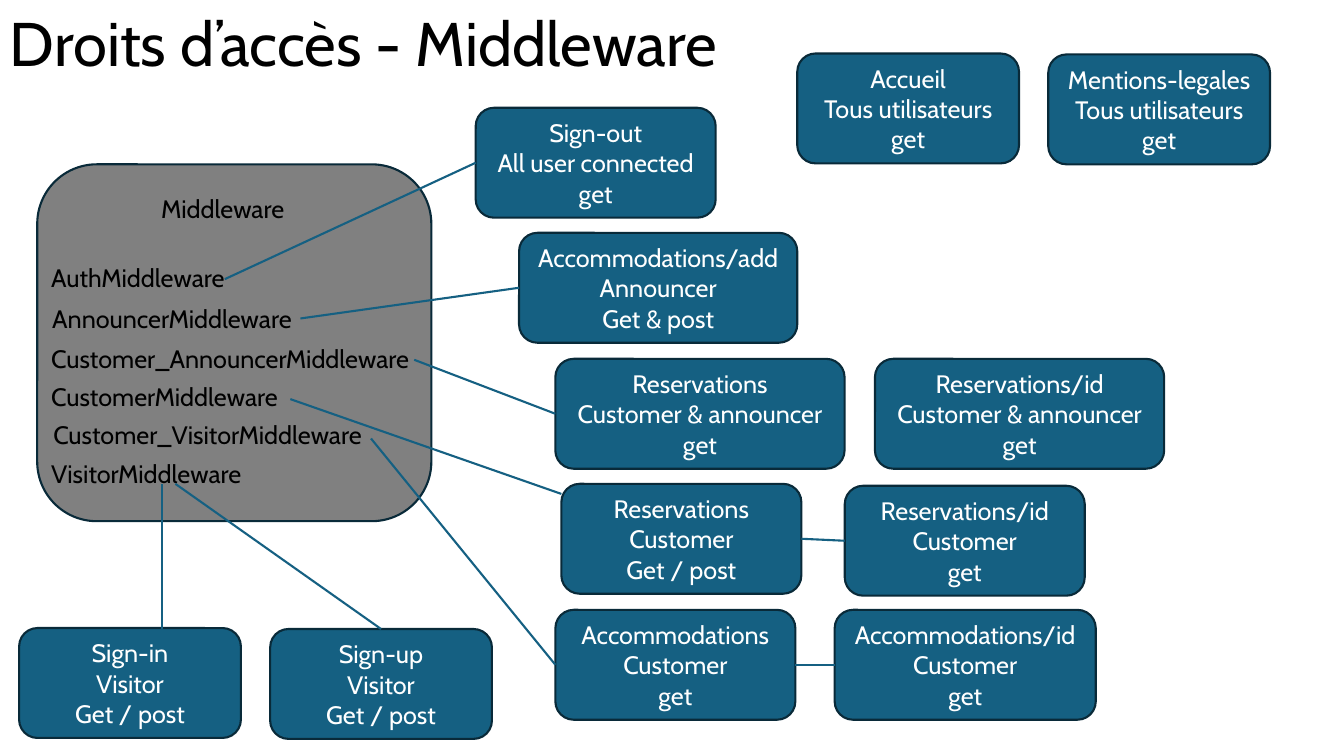
from lxml.etree import SubElement
from pptx import Presentation
from pptx.dml.color import RGBColor
from pptx.enum.shapes import MSO_CONNECTOR, MSO_SHAPE
from pptx.enum.text import MSO_ANCHOR, MSO_AUTO_SIZE, PP_ALIGN
from pptx.oxml.ns import qn
from pptx.util import Pt

BLACK = RGBColor(0x00, 0x00, 0x00)
WHITE = RGBColor(0xFF, 0xFF, 0xFF)
GREY = RGBColor(0x80, 0x80, 0x80)
BLUE = RGBColor(0x15, 0x60, 0x82)
NAVY = RGBColor(0x09, 0x2A, 0x39)

FONT = "Cabin"
ROUTE_HEIGHT = 78.5
TOP, LEFT, RIGHT = 0, 1, 3

MIDDLEWARES = [
    ("Middleware", 108, 134.6, 105.8),
    ("AuthMiddleware", 29.5, 183.6, 142.6),
    ("AnnouncerMiddleware", 30.2, 213.1, 192.2),
    ("Customer_AnnouncerMiddleware", 29.5, 241.9, 278.6),
    ("CustomerMiddleware", 29.5, 268.6, 184.3),
    ("Customer_VisitorMiddleware", 31, 295.9, 242.6),
    ("VisitorMiddleware", 29.5, 324, 156.2),
]

ROUTES = {
    "home": (569.5, 38.2, 158.4, ["Accueil", "Tous utilisateurs", "get"]),
    "legal": (748.8, 38.9, 158.4, ["Mentions-legales", "Tous utilisateurs", "get"]),
    "sign_in": (13.7, 448.6, 158.4, ["Sign-in", "Visitor", "Get / post"]),
    "sign_up": (193, 449.3, 158.4, ["Sign-up", "Visitor", "Get / post"]),
    "sign_out": (339.8, 77, 171.4, ["Sign-out", "All user connected", "get"]),
    "add": (370.8, 166.3, 198.7, ["Accommodations/add", "Announcer", "Get & post"]),
    "shared": (396.7, 256.3, 206.6, ["Reservations", "Customer & announcer", "get"]),
    "shared_id": (625, 256.3, 206.6, ["Reservations/id", "Customer & announcer", "get"]),
    "booking": (401, 345.6, 171.4, ["Reservations", "Customer", "Get / post"]),
    "booking_id": (603.4, 347, 171.4, ["Reservations/id", "Customer", "get"]),
    "stay": (396.7, 435.6, 171.4, ["Accommodations", "Customer", "get"]),
    "stay_id": (596.2, 435.6, 186.5, ["Accommodations/id", "Customer", "get"]),
}

MIDDLEWARE_LINKS = [
    (125.3, 345.6, "sign_up", TOP),
    (160.6, 199.4, "sign_out", LEFT),
    (214.6, 227.5, "add", LEFT),
    (295.9, 257, "shared", LEFT),
    (265, 313.2, "stay", LEFT),
]
FREE_LINKS = [(115.9, 345.6, 115.9, 449.3), (207.4, 285.1, 401, 352.8)]
ROUTE_LINKS = [("booking", "booking_id"), ("stay", "stay_id")]


def write(tf, lines, size=18, color=BLACK, align=PP_ALIGN.LEFT,
          anchor=MSO_ANCHOR.TOP, wrap=True, spacing=None):
    tf.word_wrap = wrap
    tf.vertical_anchor = anchor
    for i, line in enumerate(lines):
        p = tf.add_paragraph() if i else tf.paragraphs[0]
        p.alignment = align
        p.line_spacing = spacing
        r = p.add_run()
        r.text = line
        r.font.name = FONT
        r.font.size = Pt(size)
        r.font.color.rgb = color


def add_label(s, text, x, y, w, h, **fmt):
    box = s.shapes.add_textbox(Pt(x), Pt(y), Pt(w), Pt(h))
    write(box.text_frame, [text], **fmt)
    return box


def add_box(s, x, y, w, h, fill):
    sp = s.shapes.add_shape(MSO_SHAPE.ROUNDED_RECTANGLE, Pt(x), Pt(y), Pt(w), Pt(h))
    sp.shadow.inherit = False
    sp.fill.solid()
    sp.fill.fore_color.rgb = fill
    sp.line.color.rgb = NAVY
    sp.line.width = Pt(1.5)
    return sp


def add_route(s, x, y, w, lines):
    sp = add_box(s, x, y, w, ROUTE_HEIGHT, BLUE)
    write(sp.text_frame, lines, color=WHITE, align=PP_ALIGN.CENTER,
          anchor=MSO_ANCHOR.MIDDLE)
    return sp


def add_link(s, x1=0, y1=0, x2=0, y2=0):
    line = s.shapes.add_connector(MSO_CONNECTOR.STRAIGHT, Pt(x1), Pt(y1), Pt(x2), Pt(y2))
    line.line.color.rgb = BLUE
    line.line.width = Pt(1.5)
    SubElement(line._element.spPr, qn("a:effectLst"))
    return line


def main():
    prs = Presentation()
    prs.slide_width, prs.slide_height = Pt(960), Pt(540)
    s = prs.slides.add_slide(prs.slide_layouts[6])

    add_label(s, "Droits d’accès - Middleware", 0, -18.7, 828, 104.4,
              size=44, anchor=MSO_ANCHOR.MIDDLE, spacing=0.9)
    add_box(s, 26.6, 117.4, 281.5, 254.9, GREY)
    for name, x, y, w in MIDDLEWARES:
        label = add_label(s, name, x, y, w, 28.8, wrap=False)
        label.text_frame.auto_size = MSO_AUTO_SIZE.SHAPE_TO_FIT_TEXT

    routes = {key: add_route(s, *route) for key, route in ROUTES.items()}

    for x, y, key, side in MIDDLEWARE_LINKS:
        add_link(s, x, y).end_connect(routes[key], side)
    for ends in FREE_LINKS:
        add_link(s, *ends)
    for start, end in ROUTE_LINKS:
        line = add_link(s)
        line.begin_connect(routes[start], RIGHT)
        line.end_connect(routes[end], LEFT)

    prs.save("out.pptx")


if __name__ == "__main__":
    main()
